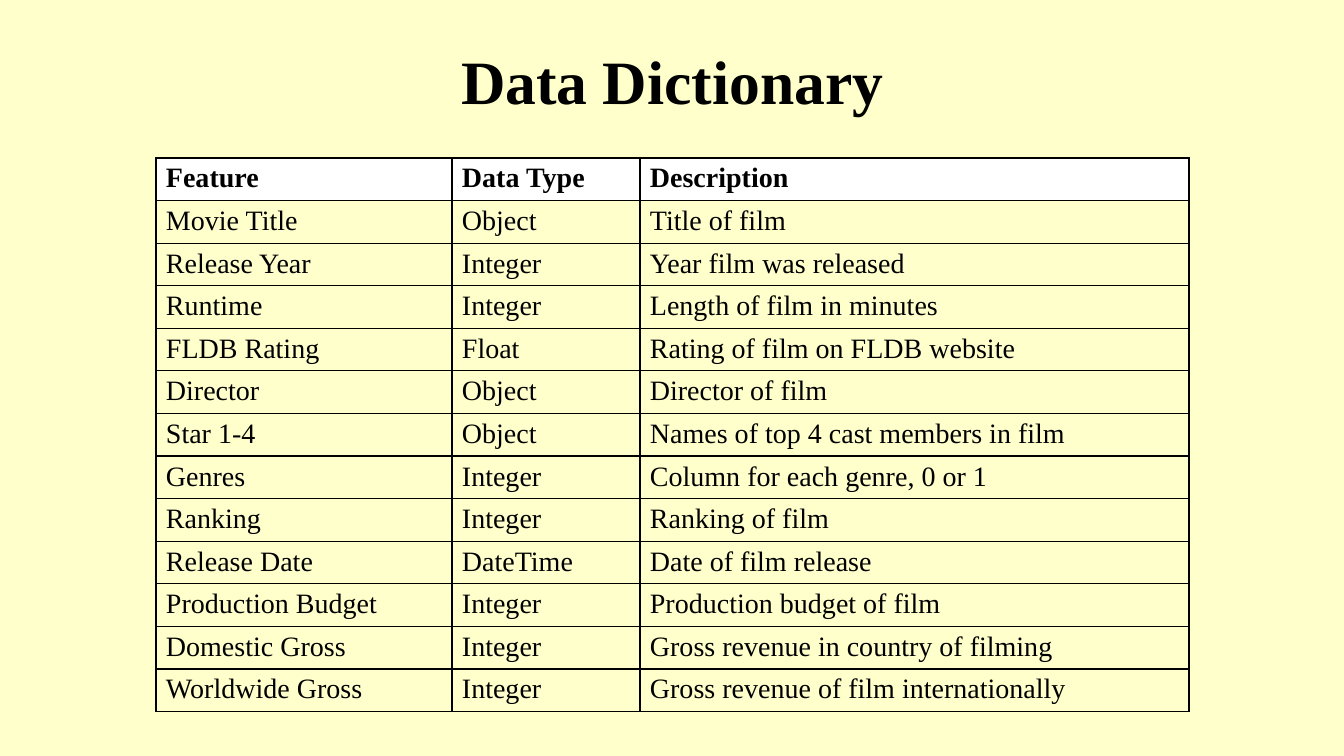
"""Build a slide with a data dictionary for a film dataset."""
from typing import NamedTuple

from lxml import etree
from pptx import Presentation
from pptx import util as u
from pptx.dml.color import RGBColor
from pptx.enum import text
from pptx.oxml.ns import qn

EMU_PER_PX = 914400 / 100.8
FONT = "Times New Roman"
COLORS = {"page": "FFFFCC", "header": "FFFFFF", "ink": "000000"}
COLUMN_WIDTHS = (296, 188, 549)
TABLE_LEFT, TABLE_TOP, TABLE_HEIGHT = 156, 158, 536


class Field(NamedTuple):
    feature: str
    data_type: str
    description: str


FIELDS = (
    Field("Feature", "Data Type", "Description"),
    Field("Movie Title", "Object", "Title of film"),
    Field("Release Year", "Integer", "Year film was released"),
    Field("Runtime", "Integer", "Length of film in minutes"),
    Field("FLDB Rating", "Float", "Rating of film on FLDB website"),
    Field("Director", "Object", "Director of film"),
    Field("Star 1-4", "Object", "Names of top 4 cast members in film"),
    Field("Genres", "Integer", "Column for each genre, 0 or 1"),
    Field("Ranking", "Integer", "Ranking of film"),
    Field("Release Date", "DateTime", "Date of film release"),
    Field("Production Budget", "Integer", "Production budget of film"),
    Field("Domestic Gross", "Integer", "Gross revenue in country of filming"),
    Field("Worldwide Gross", "Integer", "Gross revenue of film internationally"),
)


def px(length: int) -> u.Emu:
    return u.Emu(round(length * EMU_PER_PX))


def color(name: str) -> RGBColor:
    return RGBColor.from_string(COLORS[name])


def write(frame, wording: str, size: int, bold: bool) -> None:
    frame.text = wording
    font = frame.paragraphs[0].runs[0].font
    font.name = FONT
    font.size = u.Pt(size)
    font.bold = bold
    font.color.rgb = color("ink")


def add_borders(cell) -> None:
    properties = cell._tc.get_or_add_tcPr()
    for side in ("lnL", "lnR", "lnT", "lnB"):
        border = etree.SubElement(properties, qn(f"a:{side}"), w=str(u.Pt(1)))
        fill = etree.SubElement(border, qn("a:solidFill"))
        etree.SubElement(fill, qn("a:srgbClr"), val=COLORS["ink"])


def fill_cell(cell, wording: str, is_header: bool) -> None:
    add_borders(cell)
    cell.fill.solid()
    cell.fill.fore_color.rgb = color("header" if is_header else "page")
    cell.margin_left = cell.margin_right = px(10)
    cell.margin_top, cell.margin_bottom = px(5), px(4)
    write(cell.text_frame, wording, 20, is_header)


def add_title(slide) -> None:
    title = slide.shapes.add_textbox(px(93), px(12), px(1159), px(146)).text_frame
    title.word_wrap = True
    title.vertical_anchor = text.MSO_ANCHOR.MIDDLE
    write(title, "Data Dictionary", 44, True)
    title.paragraphs[0].alignment = text.PP_ALIGN.CENTER
    title.paragraphs[0].line_spacing = 0.9


def add_dictionary(slide) -> None:
    dictionary = slide.shapes.add_table(
        len(FIELDS), len(COLUMN_WIDTHS), px(TABLE_LEFT), px(TABLE_TOP),
        px(sum(COLUMN_WIDTHS)), px(TABLE_HEIGHT),
    ).table
    dictionary.horz_banding = False
    for column, width in zip(dictionary.columns, COLUMN_WIDTHS):
        column.width = px(width)
    for row_index, (row, field) in enumerate(zip(dictionary.rows, FIELDS)):
        row.height = px(TABLE_HEIGHT) // len(FIELDS)
        for cell, wording in zip(row.cells, field):
            fill_cell(cell, wording, row_index == 0)


def main() -> None:
    deck = Presentation()
    deck.slide_width, deck.slide_height = px(1344), px(756)
    slide = deck.slides.add_slide(deck.slide_layouts[6])
    slide.background.fill.solid()
    slide.background.fill.fore_color.rgb = color("page")
    add_title(slide)
    add_dictionary(slide)
    deck.save("out.pptx")


if __name__ == "__main__":
    main()
